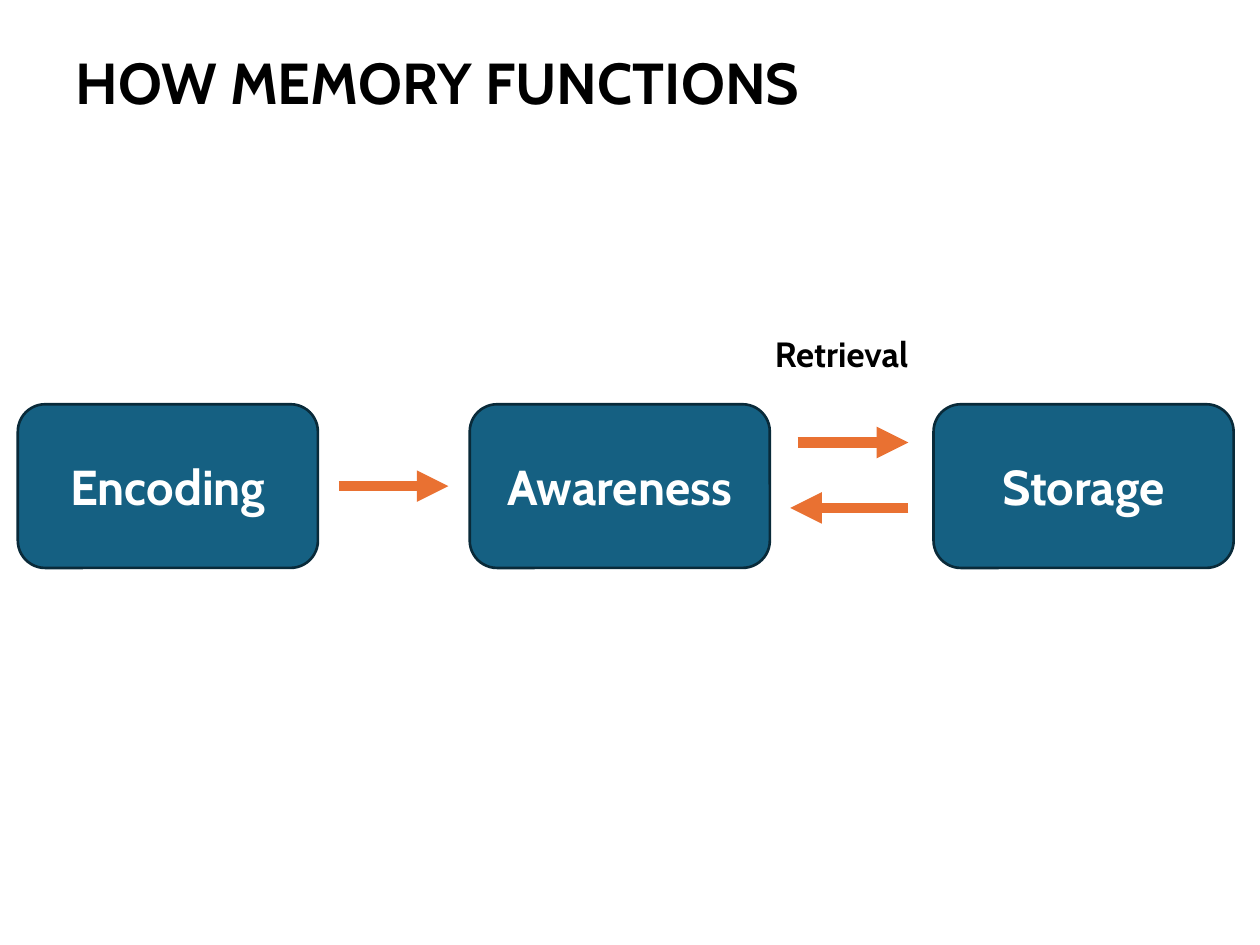
"""Build a slide showing how memory moves between encoding, awareness and storage."""
from typing import NamedTuple

from lxml import etree
from pptx import Presentation
from pptx.dml.color import RGBColor
from pptx.enum.shapes import MSO_CONNECTOR, MSO_SHAPE
from pptx.enum.text import MSO_ANCHOR, MSO_AUTO_SIZE, PP_ALIGN
from pptx.oxml.ns import qn
from pptx.shapes.base import BaseShape
from pptx.slide import Slide
from pptx.util import Cm, Pt

ROUNDED = MSO_SHAPE.ROUNDED_RECTANGLE
STRAIGHT = MSO_CONNECTOR.STRAIGHT
TOP, MIDDLE, BOTTOM = MSO_ANCHOR.TOP, MSO_ANCHOR.MIDDLE, MSO_ANCHOR.BOTTOM
LEFT, CENTER = PP_ALIGN.LEFT, PP_ALIGN.CENTER
GROW = MSO_AUTO_SIZE.SHAPE_TO_FIT_TEXT

BLACK = RGBColor(0x00, 0x00, 0x00)
WHITE = RGBColor(0xFF, 0xFF, 0xFF)
BLUE = RGBColor(0x15, 0x60, 0x82)
NAVY = RGBColor(0x09, 0x2A, 0x39)
ORANGE = RGBColor(0xE9, 0x71, 0x32)

FONT = "Cabin"
STAGE_TOP, STAGE_WIDTH, STAGE_HEIGHT = 8.15, 6.05, 3.3


class Stage(NamedTuple):
    name: str
    left: float


class Arrow(NamedTuple):
    start: float
    end: float
    height: float


STAGES = (Stage("Encoding", 0.36), Stage("Awareness", 9.47), Stage("Storage", 18.82))
ARROWS = (
    Arrow(6.83, 9.04, STAGE_TOP + STAGE_HEIGHT / 2),
    Arrow(16.08, 18.31, 8.92),
    Arrow(18.31, 15.93, 10.24),
)


def write_text(box: BaseShape, text: str, *, size: float, color: RGBColor = BLACK,
               align: PP_ALIGN = LEFT, anchor: MSO_ANCHOR = TOP, spacing: float = 1.0) -> None:
    frame = box.text_frame
    frame.word_wrap = True
    frame.vertical_anchor = anchor
    para = frame.paragraphs[0]
    para.alignment = align
    para.line_spacing = spacing
    span = para.add_run()
    span.text = text
    span.font.name = FONT
    span.font.size = Pt(size)
    span.font.bold = True
    span.font.color.rgb = color


def draw_stage(page: Slide, stage: Stage) -> None:
    box = page.shapes.add_shape(
        ROUNDED, Cm(stage.left), Cm(STAGE_TOP), Cm(STAGE_WIDTH), Cm(STAGE_HEIGHT))
    box.shadow.inherit = False
    box.fill.solid()
    box.fill.fore_color.rgb = BLUE
    box.line.color.rgb = NAVY
    box.line.width = Pt(1.5)
    write_text(box, stage.name, size=28, color=WHITE, align=CENTER, anchor=MIDDLE)


def draw_arrow(page: Slide, arrow: Arrow) -> None:
    connector = page.shapes.add_connector(
        STRAIGHT, Cm(arrow.start), Cm(arrow.height), Cm(arrow.end), Cm(arrow.height))
    connector.line.color.rgb = ORANGE
    connector.line.width = Pt(6)
    etree.SubElement(connector.line._get_or_add_ln(), qn("a:tailEnd"), type="triangle")
    etree.SubElement(connector._element.spPr, qn("a:effectLst"))


def main() -> None:
    deck = Presentation()
    deck.slide_width, deck.slide_height = Cm(25.4), Cm(19.05)
    page = deck.slides.add_slide(deck.slide_layouts[6])

    title = page.shapes.add_textbox(Cm(1.27), Cm(0.66), Cm(22.4), Cm(1.83))
    write_text(title, "HOW MEMORY FUNCTIONS", size=33, anchor=BOTTOM, spacing=0.9)
    for stage in STAGES:
        draw_stage(page, stage)
    for arrow in ARROWS:
        draw_arrow(page, arrow)
    label = page.shapes.add_textbox(Cm(15.37), Cm(6.58), Cm(5.16), Cm(1.12))
    write_text(label, "Retrieval", size=20)
    label.text_frame.auto_size = GROW

    deck.save("out.pptx")


if __name__ == "__main__":
    main()
